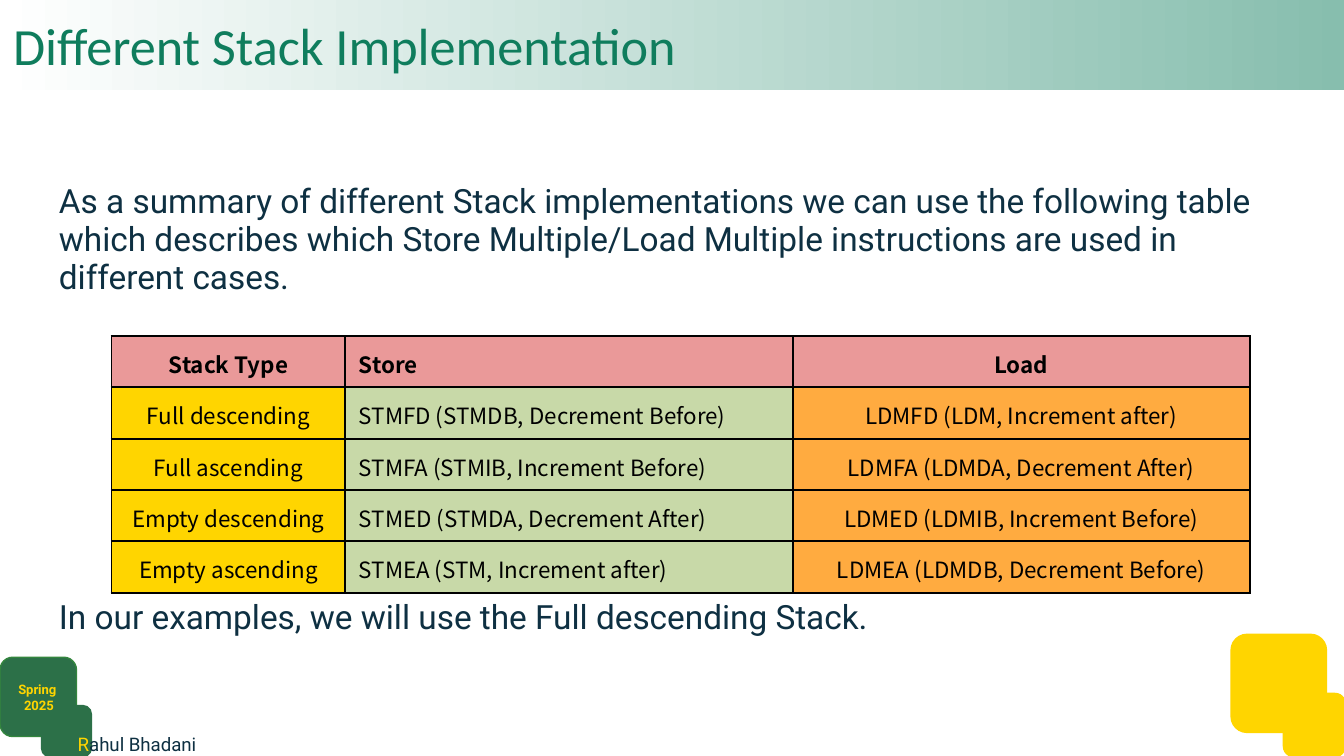
from pptx import Presentation
from pptx.dml.color import RGBColor
from pptx.enum.shapes import MSO_SHAPE as Shape
from pptx.enum.text import MSO_ANCHOR as Anchor, PP_ALIGN as Align
from pptx.oxml import parse_xml
from pptx.oxml.ns import nsdecls
from pptx.util import Inches, Pt

GOLD, GREEN, NAVY, TEAL = "FFD500", "2C7048", "0E3042", "0F7D5D"


def rgb(value):
    return RGBColor.from_string(value)


def add_run(paragraph, text, color, **font_format):
    run = paragraph.add_run()
    run.text = text
    run.font.color.rgb = rgb(color)
    for name, value in font_format.items():
        setattr(run.font, name, value)


# Widescreen 16:9 slide
presentation = Presentation()
presentation.slide_width = Inches(10)
presentation.slide_height = Inches(10) * 9 // 16
slide = presentation.slides.add_slide(presentation.slide_layouts[6])

# Corner blocks
for left, top, width, height, fill, line in [
    (9.16, 4.72, 0.71, 0.73, GOLD, GOLD),
    (9.55, 5.16, 0.46, 0.47, GOLD, GOLD),
    (0, 4.89, 0.57, 0.59, GREEN, "34863E"),
    (0.31, 5.25, 0.37, 0.38, GREEN, GREEN),
]:
    block = slide.shapes.add_shape(
        Shape.FLOWCHART_ALTERNATE_PROCESS,
        Inches(left), Inches(top), Inches(width), Inches(height))
    block.shadow.inherit = False
    block.fill.solid()
    block.fill.fore_color.rgb = rgb(fill)
    block.line.color.rgb = rgb(line)
    block.line.width = Pt(0.75)

# Title bar
title = slide.shapes.add_shape(Shape.RECTANGLE, 0, 0, Inches(10), Inches(0.67))
title.shadow.inherit = False
title.line.fill.background()
title.fill.gradient()
title.fill.gradient_angle = 0
for stop, position, color in zip(title.fill.gradient_stops, (0, 1), ("FFFFFF", "87BEAE")):
    stop.position = position
    stop.color.rgb = rgb(color)

# Text boxes
author, term, body = [
    slide.shapes.add_textbox(Inches(left), Inches(top), Inches(width), Inches(height))
    for left, top, width, height in [
        (0.48, 5.37, 1.24, 0.29), (0, 4.97, 0.58, 0.29), (0.34, 1.26, 9.32, 3.74)]
]
frame_format = {f"margin_{side}": Inches(0.1) for side in ("left", "top", "right", "bottom")}
frame_format |= {"word_wrap": True, "vertical_anchor": Anchor.TOP}
for shape in (title, author, term, body):
    for name, value in frame_format.items():
        setattr(shape.text_frame, name, value)

title.text_frame.vertical_anchor = Anchor.MIDDLE
paragraph = title.text_frame.paragraphs[0]
paragraph.alignment = Align.LEFT
add_run(paragraph, "Different Stack Implementation", TEAL, name="Calibri", size=Pt(28))

# Footer
for text, color in (("R", GOLD), ("ahul Bhadani", NAVY)):
    add_run(author.text_frame.paragraphs[0], text, color, name="Roboto", size=Pt(10))

term.text_frame.add_paragraph()
for paragraph, text in zip(term.text_frame.paragraphs, ("Spring ", "2025")):
    paragraph.alignment = Align.CENTER
    add_run(paragraph, text, GOLD, name="Roboto", size=Pt(7), bold=True)

# Body: the space between the two paragraphs holds the table
body.text_frame.add_paragraph().space_before = Pt(162)
for paragraph, text in zip(body.text_frame.paragraphs, (
    "As a summary of different Stack implementations we can use the following table "
    "which describes which Store Multiple/Load Multiple instructions are used in "
    "different cases.",
    "In our examples, we will use the Full descending Stack.",
)):
    paragraph.line_spacing = 0.95
    add_run(paragraph, text, NAVY, name="Roboto", size=Pt(17.9))

# Stack table
rows = [
    ("Stack Type", "Store", "Load"),
    ("Full descending", "STMFD (STMDB, Decrement Before)", "LDMFD (LDM, Increment after)"),
    ("Full ascending", "STMFA (STMIB, Increment Before)", "LDMFA (LDMDA, Decrement After)"),
    ("Empty descending", "STMED (STMDA, Decrement After)", "LDMED (LDMIB, Increment Before)"),
    ("Empty ascending", "STMEA (STM, Increment after)", "LDMEA (LDMDB, Decrement Before)"),
]
columns = [(1.74, GOLD, Align.CENTER), (3.33, "C8D9A8", Align.LEFT), (3.4, "FFAB40", Align.CENTER)]
# add_table shares the height equally between the rows
table = slide.shapes.add_table(
    len(rows), len(columns), Inches(0.83), Inches(2.5), Inches(8.47), Inches(1.91)).table
for column, (width, _, _) in zip(table.columns, columns):
    column.width = Inches(width)
for row_index, texts in enumerate(rows):
    header = row_index == 0
    for column_index, (text, (_, fill, alignment)) in enumerate(zip(texts, columns)):
        cell = table.cell(row_index, column_index)
        properties = cell._tc.get_or_add_tcPr()
        for side in "LRTB":
            properties.append(parse_xml(
                f'<a:ln{side} {nsdecls("a")} w="{Pt(1.13)}"><a:solidFill>'
                f'<a:srgbClr val="000000"/></a:solidFill></a:ln{side}>'))
        cell.fill.solid()
        cell.fill.fore_color.rgb = rgb("EA9999" if header else fill)
        paragraph = cell.text_frame.paragraphs[0]
        paragraph.alignment = alignment
        paragraph.line_spacing = 1.15
        add_run(paragraph, text, "000000", name="Noto Sans CJK SC", size=Pt(12), bold=header)

presentation.save("out.pptx")
